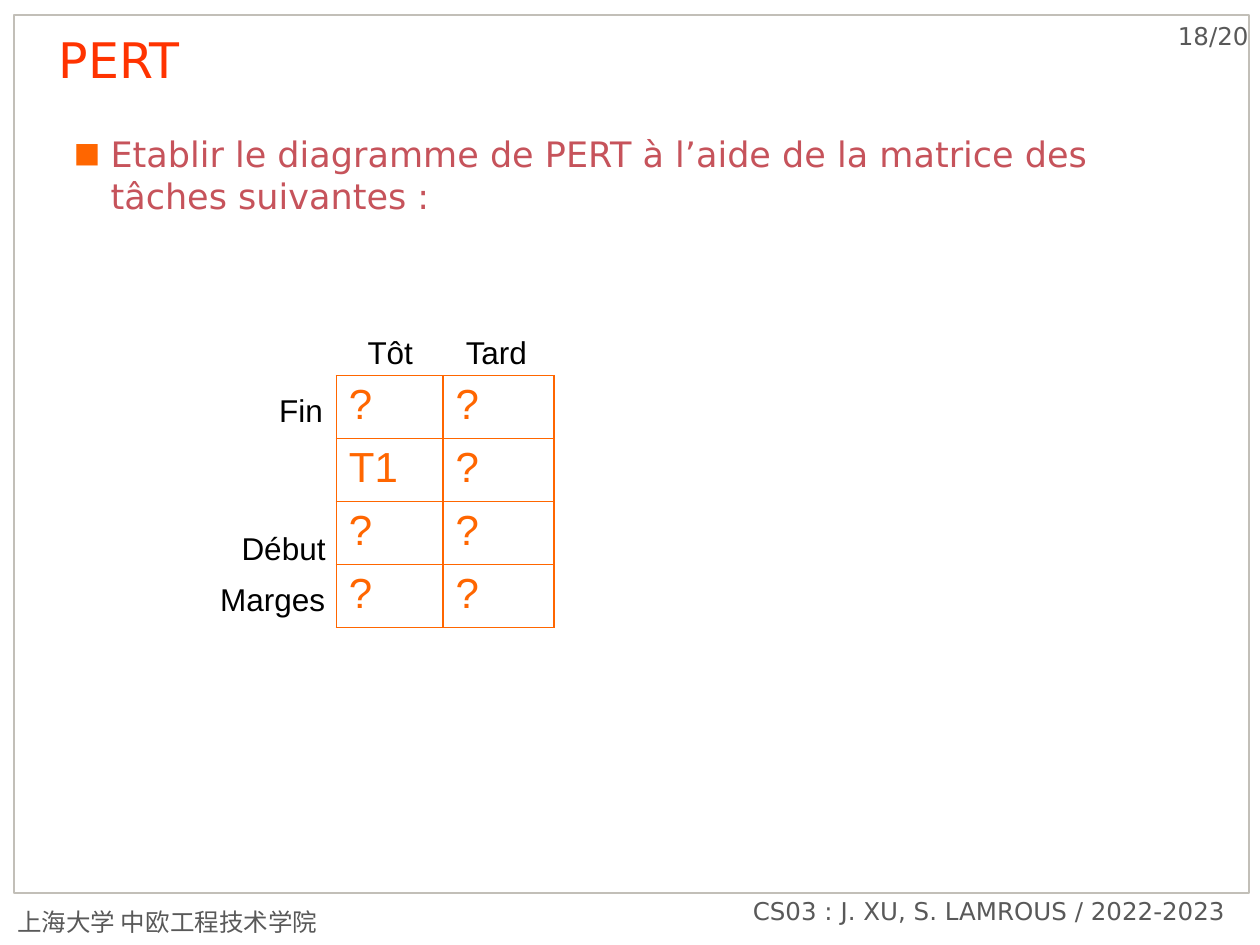
import pptx
import pptx.dml.color
import pptx.enum.shapes
import pptx.enum.text
import pptx.oxml
import pptx.oxml.ns
import pptx.util
from pptx.util import Cm

SANS, ARIAL = "DejaVu Sans", "Arial"
ORANGE, GREY = "FF6600", "595959"
RIGHT = pptx.enum.text.PP_ALIGN.RIGHT


def color(value):
    """Turn a hex string into a colour."""
    return pptx.dml.color.RGBColor.from_string(value)


def add_element(parent, xml):
    """Append a DrawingML element written as XML."""
    namespace = pptx.oxml.ns.nsdecls("a")
    parent.append(pptx.oxml.parse_xml(xml.replace(" ", f" {namespace} ", 1)))


def write(para, text, size, font, ink):
    """Add one styled run to a paragraph."""
    span = para.add_run()
    span.text = text
    span.font.size = pptx.util.Pt(size)
    span.font.name = font
    span.font.color.rgb = color(ink)


def add_text(page, place, text, size, font, ink, align=None, wrap=True, margins=None):
    """Add a text box and return its paragraph."""
    box = page.shapes.add_textbox(*map(Cm, place))
    frame = box.text_frame
    frame.word_wrap = wrap
    if margins:
        frame.margin_left, frame.margin_top, frame.margin_right, frame.margin_bottom = map(Cm, margins)
    para = frame.paragraphs[0]
    para.alignment = align
    write(para, text, size, font, ink)
    return para


def add_frame(page):
    """Draw the border around the page."""
    frame = page.shapes.add_shape(
        pptx.enum.shapes.MSO_SHAPE.RECTANGLE, Cm(0.28), Cm(0.3), Cm(24.9), Cm(17.7))
    frame.shadow.inherit = False
    frame.fill.background()
    frame.line.color.rgb = color("C2BFB8")
    frame.line.width = pptx.util.Pt(1.5)


def add_bullet(para):
    """Give a paragraph a square bullet with a hanging indent."""
    properties = para._p.get_or_add_pPr()
    properties.set("marL", str(Cm(0.74)))
    properties.set("indent", str(-Cm(0.74)))
    add_element(properties, f'<a:buClr ><a:srgbClr val="{ORANGE}"/></a:buClr>')
    add_element(properties, '<a:buSzPct val="80000"/>')
    add_element(properties, f'<a:buFont typeface="{SANS}"/>')
    add_element(properties, '<a:buChar char="■"/>')


def style_cell(cell):
    """Outline a cell and leave it unfilled."""
    properties = cell._tc.get_or_add_tcPr()
    for side in "LRTB":
        add_element(properties, f'<a:ln{side} w="12700"><a:solidFill>'
                    f'<a:srgbClr val="{ORANGE}"/></a:solidFill></a:ln{side}>')
    cell.fill.background()


def add_task_table(page, rows):
    """Add the table of early and late dates."""
    shape = page.shapes.add_table(len(rows), 2, Cm(6.78), Cm(7.57), Cm(4.39), Cm(4.8))
    table = shape.table
    table.first_row = table.horz_banding = False
    for column, width in zip(table.columns, (2.15, 2.24)):
        column.width = Cm(width)
    for row, values in zip(table.rows, rows):
        row.height = Cm(1.2)
        for cell, value in zip(row.cells, values):
            style_cell(cell)
            write(cell.text_frame.paragraphs[0], value, 24, ARIAL, ORANGE)


def main():
    """Build the PERT exercise slide."""
    deck = pptx.Presentation()
    deck.slide_width, deck.slide_height = Cm(25.4), Cm(19.05)
    page = deck.slides.add_slide(deck.slide_layouts[6])

    add_frame(page)
    add_text(page, (22.33, 0.3, 2.84, 0.86), "18/20", 14, SANS, GREY, RIGHT,
             margins=(0.3, 0.13, 0, 0.13))
    add_text(page, (0.1, 18.15, 7.3, 0.8), "上海大学 中欧工程技术学院", 14, SANS, GREY)
    add_text(page, (7.37, 17.93, 17.58, 0.9), "CS03 : J. XU, S. LAMROUS / 2022-2023",
             14, SANS, GREY, RIGHT)
    title = add_text(page, (1.19, 0.66, 22.07, 1.47), "PERT", 28, SANS, "FF3300",
                     margins=(0, 0, 0.25, 0.13))
    title.line_spacing = pptx.util.Pt(32)
    task = add_text(page, (1.24, 2.54, 22.81, 2.79),
                    "Etablir le diagramme de PERT à l’aide de la matrice des tâches suivantes :",
                    20, SANS, "C6535B")
    add_bullet(task)

    add_task_table(page, [("?", "?"), ("T1", "?"), ("?", "?"), ("?", "?")])
    labels = [("Fin", 5.38, 7.75, 1.4), ("Début", 4.62, 10.54, 2.24),
              ("Marges", 4.19, 11.56, 2.64), ("Tôt", 7.16, 6.58, 1.45),
              ("Tard", 9.14, 6.58, 1.75)]
    for text, left, top, width in labels:
        add_text(page, (left, top, width, 1.02), text, 18, ARIAL, "000000", wrap=False)

    deck.save("out.pptx")


if __name__ == "__main__":
    main()
